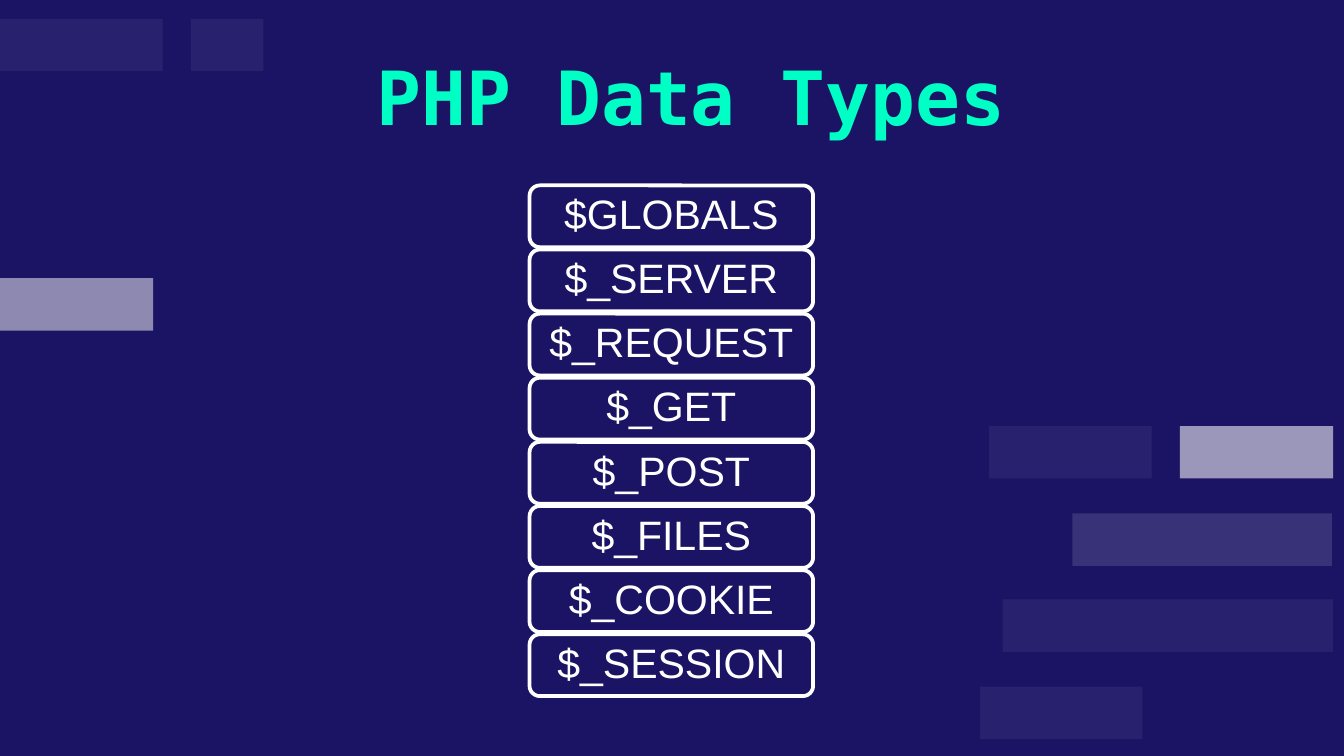
from dataclasses import dataclass

from lxml.etree import SubElement
from pptx import Presentation
from pptx.dml.color import RGBColor
from pptx.enum.shapes import MSO_SHAPE
from pptx.enum.text import MSO_ANCHOR, MSO_AUTO_SIZE, PP_ALIGN
from pptx.oxml.ns import qn
from pptx.slide import Slide
from pptx.text.text import Font
from pptx.util import Inches, Pt


@dataclass(frozen=True)
class Theme:
    navy: RGBColor = RGBColor(0x1B, 0x14, 0x64)
    mint: RGBColor = RGBColor(0x00, 0xFF, 0xC5)
    white: RGBColor = RGBColor(0xFF, 0xFF, 0xFF)
    mono: str = "DejaVu Sans Mono"
    sans: str = "Arial"
    head: int = 40
    body: int = 22


@dataclass(frozen=True)
class Bar:
    left: float
    top: float
    width: float
    alpha: int


THEME = Theme()
BAR_HIGH = 0.39
BARS = [
    Bar(7.98, 3.82, 1.93, 13),
    Bar(7.36, 3.17, 1.21, 6),
    Bar(7.46, 4.46, 2.46, 6),
    Bar(8.78, 3.17, 1.14, 56),
    Bar(7.29, 5.11, 1.21, 6),
    Bar(0, 2.07, 1.14, 50),
    Bar(0, 0.14, 1.21, 6),
    Bar(1.42, 0.14, 0.54, 6),
]
NAMES = ["$GLOBALS", "$_SERVER", "$_REQUEST", "$_GET",
         "$_POST", "$_FILES", "$_COOKIE", "$_SESSION"]
FIRST, LAST = 1.38, 4.72
STEP = (LAST - FIRST) / (len(NAMES) - 1)


def style(font: Font, face: str, size: int, color: RGBColor, bold: bool) -> None:
    font.name = face
    font.size = Pt(size)
    font.bold = bold
    font.color.rgb = color


def add_title(slide: Slide, text: str) -> None:
    title = slide.shapes.title
    title.left, title.top = Inches(1.54), Inches(0.28)
    title.width, title.height = Inches(7.2), Inches(0.73)
    frame = title.text_frame
    frame.text = text
    frame.auto_size = MSO_AUTO_SIZE.NONE
    frame.vertical_anchor = MSO_ANCHOR.TOP
    frame.margin_left = frame.margin_right = Inches(0.1)
    frame.margin_top = frame.margin_bottom = Inches(0.1)
    line = frame.paragraphs[0]
    line.alignment = PP_ALIGN.CENTER
    line.line_spacing = 1.0
    line.space_before = Pt(0)
    style(line.runs[0].font, THEME.mono, THEME.head, THEME.mint, True)


def add_bar(slide: Slide, bar: Bar) -> None:
    shape = slide.shapes.add_shape(
        MSO_SHAPE.RECTANGLE, Inches(bar.left), Inches(bar.top),
        Inches(bar.width), Inches(BAR_HIGH))
    shape.shadow.inherit = False
    shape.line.fill.background()
    shape.fill.solid()
    shape.fill.fore_color.rgb = THEME.white
    color = shape.fill._xPr.find(qn("a:solidFill"))[0]
    SubElement(color, qn("a:alpha"), val=str(bar.alpha * 1000))


def add_box(slide: Slide, text: str, top: float) -> None:
    shape = slide.shapes.add_shape(
        MSO_SHAPE.ROUNDED_RECTANGLE, Inches(3.94), Inches(top),
        Inches(2.11), Inches(0.46))
    shape.shadow.inherit = False
    shape.fill.solid()
    shape.fill.fore_color.rgb = THEME.navy
    shape.line.color.rgb = THEME.white
    shape.line.width = Pt(2)
    frame = shape.text_frame
    frame.text = text
    frame.word_wrap = True
    frame.vertical_anchor = MSO_ANCHOR.MIDDLE
    frame.margin_left = frame.margin_right = Inches(0.09)
    frame.margin_top = frame.margin_bottom = Inches(0.05)
    line = frame.paragraphs[0]
    line.alignment = PP_ALIGN.CENTER
    line.line_spacing = 0.9
    style(line.runs[0].font, THEME.sans, THEME.body, THEME.white, False)


def main() -> None:
    """Build the slide and save it."""
    deck = Presentation()
    deck.slide_width = Inches(10)
    deck.slide_height = Inches(10) * 9 // 16
    slide = deck.slides.add_slide(deck.slide_layouts[5])
    slide.background.fill.solid()
    slide.background.fill.fore_color.rgb = THEME.navy
    add_title(slide, "PHP Data Types")
    for bar in BARS:
        add_bar(slide, bar)
    for row, name in enumerate(NAMES):
        add_box(slide, name, FIRST + row * STEP)
    deck.save("out.pptx")


main()
